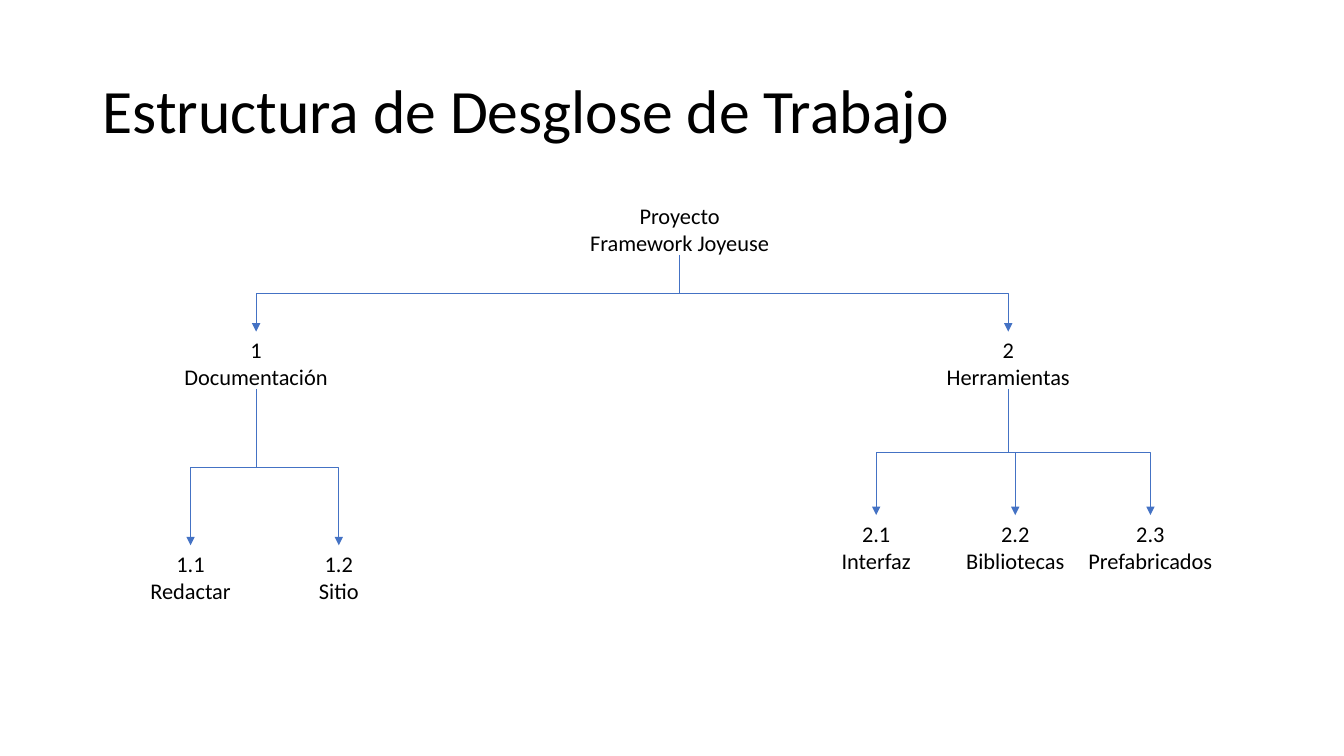
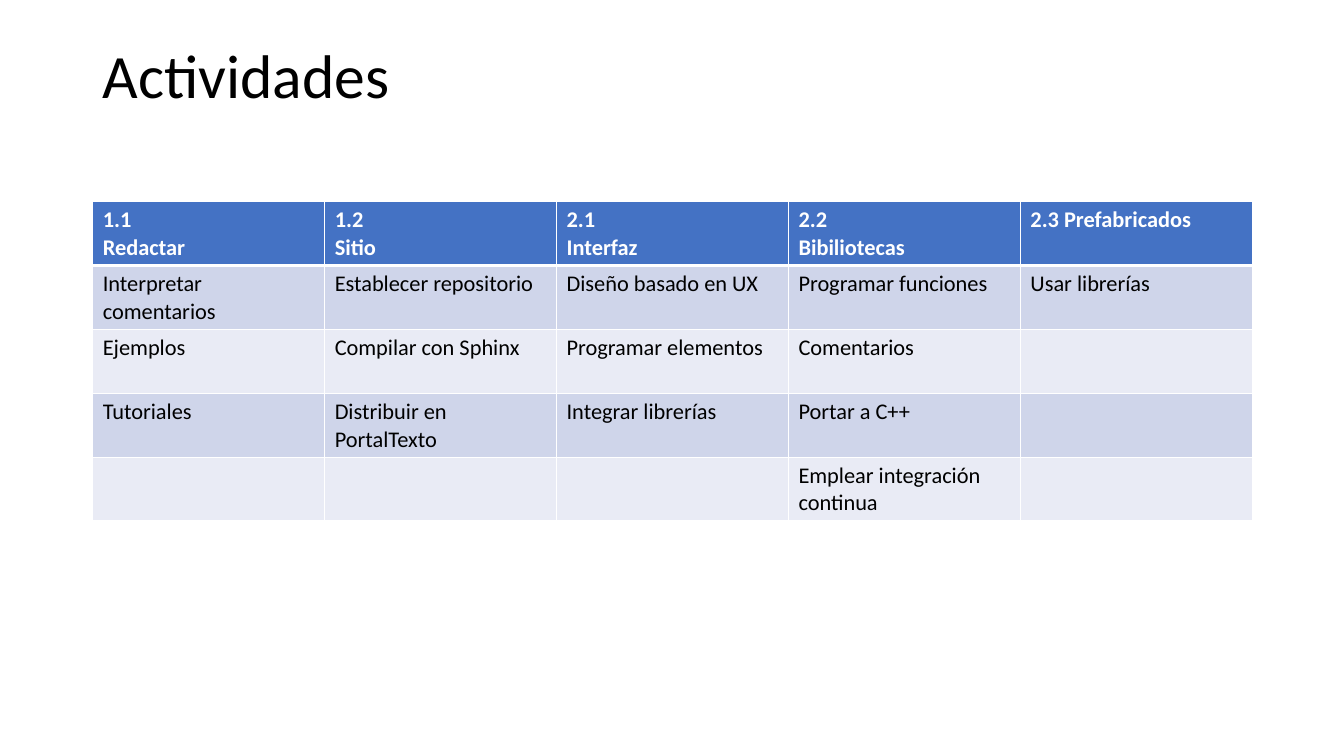
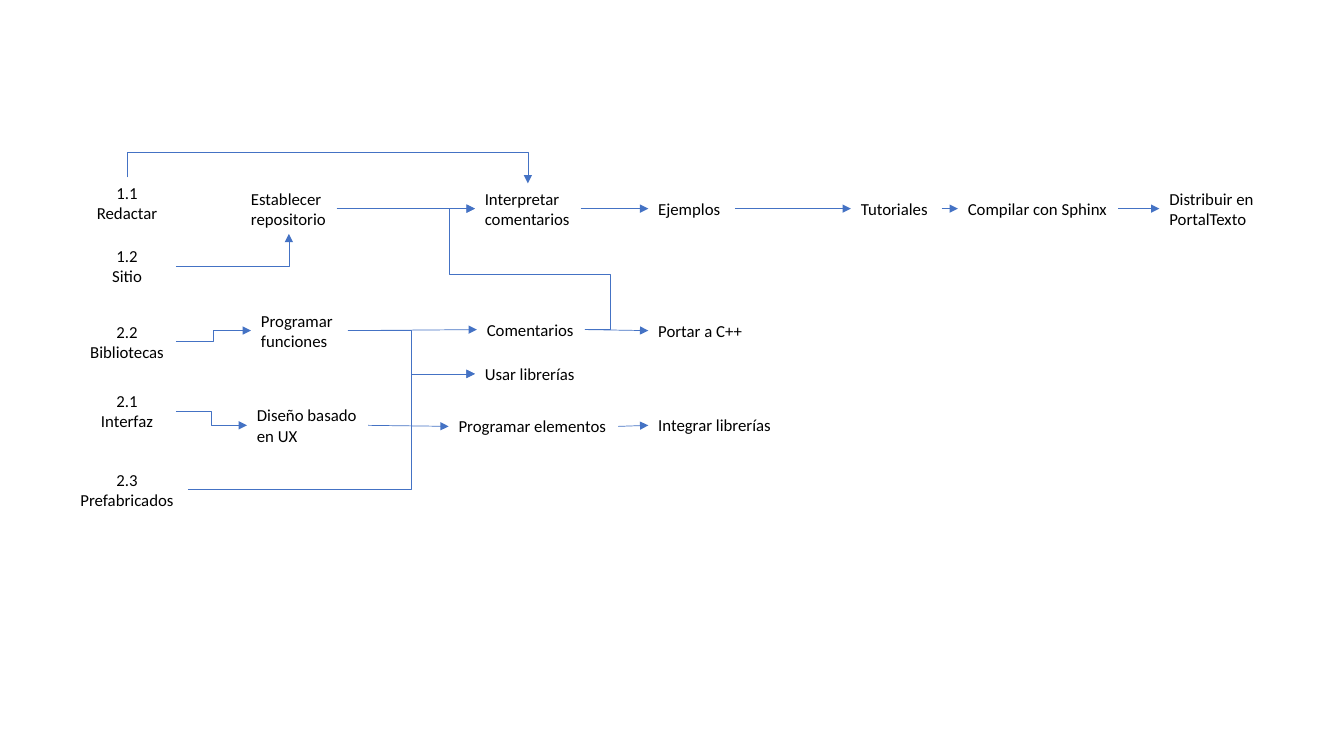
from itertools import cycle

from lxml.etree import SubElement
from pptx import Presentation
from pptx.dml.color import RGBColor
from pptx.enum.shapes import MSO_CONNECTOR as Connector
from pptx.enum.text import MSO_ANCHOR as Anchor, PP_ALIGN as Align
from pptx.oxml.ns import qn
from pptx.util import Inches, Pt

# Shared style
BLACK = RGBColor(0x00, 0x00, 0x00)
WHITE = RGBColor(0xFF, 0xFF, 0xFF)
BLUE = RGBColor(0x44, 0x72, 0xC4)
BAND_DARK = RGBColor(0xCF, 0xD5, 0xEA)
BAND_LIGHT = RGBColor(0xE9, 0xEB, 0xF5)
FONT = "Calibri"
SLIDE_WIDTH, SLIDE_HEIGHT = 13.33, 7.5
MARGIN, CONTENT_WIDTH = 0.92, 11.5

# Connection sites of a text box
TOP, LEFT, BOTTOM, RIGHT = range(4)


def style_text(text_frame, size, color=BLACK, bold=False, align=Align.LEFT):
    for paragraph in text_frame.paragraphs:
        paragraph.alignment = align
        font = paragraph.font
        font.name, font.size, font.bold = FONT, Pt(size), bold
        font.color.rgb = color


def add_text(slide, text, left, top, width, height, size,
             align=Align.LEFT, wrap=True):
    box = slide.shapes.add_textbox(
        Inches(left), Inches(top), Inches(width), Inches(height))
    box.text_frame.word_wrap = wrap
    box.text_frame.text = text
    style_text(box.text_frame, size, align=align)
    return box


def add_title(slide, text, anchor):
    title = add_text(slide, text, MARGIN, 0.4, CONTENT_WIDTH, 1.45, 44)
    title.text_frame.vertical_anchor = anchor
    title.text_frame.paragraphs[0].line_spacing = 0.9


def add_link(slide, source, target, bends=None, start=RIGHT, end=LEFT):
    """Join two boxes; bends are the positions of the inner segments."""
    kind = Connector.STRAIGHT if bends is None else Connector.ELBOW
    link = slide.shapes.add_connector(kind, 0, 0, 0, 0)
    link.begin_connect(source, start)
    link.end_connect(target, end)
    if bends is not None:
        bend_link(link, bends, vertical=start in (TOP, BOTTOM))
    # Line and arrowhead
    link.line.color.rgb = BLUE
    link.line.width = Pt(0.5)
    properties = link._element.spPr
    SubElement(properties.find(qn("a:ln")), qn("a:tailEnd"), type="triangle")
    SubElement(properties, qn("a:effectLst"))


def bend_link(link, bends, vertical):
    x, y = link.begin_x, link.begin_y
    across, down = link.end_x - x, link.end_y - y
    properties = link._element.spPr
    geometry = properties.find(qn("a:prstGeom"))
    geometry.set("prst", f"bentConnector{len(bends) + 2}")
    guides = geometry.find(qn("a:avLst"))
    axes = [(y, down), (x, across)] if vertical else [(x, across), (y, down)]
    for number, (bend, (origin, span)) in enumerate(zip(bends, cycle(axes)), 1):
        share = round((Inches(bend) - origin) / span * 100000)
        SubElement(guides, qn("a:gd"), name=f"adj{number}", fmla=f"val {share}")
    if vertical:
        # A downward elbow is a sideways one turned about its centre
        link.left = round(x + (across - down) / 2)
        link.top = round(y + (down - abs(across)) / 2)
        link.width, link.height = down, abs(across)
        frame = properties.find(qn("a:xfrm"))
        to_right = across > 0
        frame.set("rot", str((270 if to_right else 90) * 60000))
        frame.set("flipH", "1" if to_right else "0")
        frame.set("flipV", "0")


def set_borders(cell, top, bottom):
    properties = cell._tc.get_or_add_tcPr()
    for side, width in (("L", 1), ("R", 1), ("T", top), ("B", bottom)):
        line = SubElement(properties, qn(f"a:ln{side}"), w=str(Pt(width)))
        fill = SubElement(line, qn("a:solidFill"))
        SubElement(fill, qn("a:srgbClr"), val=str(WHITE))


def add_table(slide, rows, top, height):
    table = slide.shapes.add_table(
        len(rows), len(rows[0]), Inches(MARGIN), Inches(top),
        Inches(CONTENT_WIDTH), Inches(height)).table
    for row_index, row in enumerate(rows):
        header = row_index == 0
        band = BAND_DARK if row_index % 2 else BAND_LIGHT
        for column_index, text in enumerate(row):
            cell = table.cell(row_index, column_index)
            set_borders(cell, 3 if row_index == 1 else 1, 3 if header else 1)
            cell.fill.solid()
            cell.fill.fore_color.rgb = BLUE if header else band
            cell.text_frame.text = text
            style_text(cell.text_frame, 16, WHITE if header else BLACK, header)


def build_breakdown(slide):
    add_title(slide, "Estructura de Desglose de Trabajo", Anchor.MIDDLE)

    # Nodes: text, centre, top, width, height
    nodes = {
        "root": ("Proyecto\nFramework Joyeuse", 6.74, 1.96, 2.51, 0.57),
        "1": ("1\nDocumentación", 2.54, 3.29, 2.51, 0.57),
        "2": ("2\nHerramientas", 10, 3.29, 2.51, 0.57),
        "1.1": ("1.1\nRedactar", 1.89, 5.41, 1.94, 0.64),
        "1.2": ("1.2\nSitio", 3.36, 5.41, 1.64, 0.64),
        "2.1": ("2.1\nInterfaz", 8.69, 5.11, 1.38, 0.57),
        "2.2": ("2.2\nBibliotecas", 10.07, 5.11, 1.38, 0.64),
        "2.3": ("2.3\nPrefabricados", 11.41, 5.11, 1.53, 0.64),
    }
    boxes = {
        key: add_text(slide, text, centre - width / 2, top, width, height,
                      16, Align.CENTER)
        for key, (text, centre, top, width, height) in nodes.items()}

    # Branches: parent, height of the crossbar, children
    for parent, bar, children in (("root", 2.91, ("1", "2")),
                                  ("1", 4.64, ("1.1", "1.2")),
                                  ("2", 4.49, ("2.1", "2.2", "2.3"))):
        for child in children:
            add_link(slide, boxes[parent], boxes[child], [bar], BOTTOM, TOP)


def build_activities(slide):
    add_title(slide, "Actividades", Anchor.TOP)
    add_table(slide, [
        ("1.1\nRedactar", "1.2\nSitio", "2.1\nInterfaz", "2.2\nBibiliotecas",
         "2.3 Prefabricados"),
        ("Interpretar comentarios", "Establecer repositorio",
         "Diseño basado en UX", "Programar funciones", "Usar librerías"),
        ("Ejemplos", "Compilar con Sphinx", "Programar elementos",
         "Comentarios", ""),
        ("Tutoriales", "Distribuir en PortalTexto", "Integrar librerías",
         "Portar a C++", ""),
        ("", "", "", "Emplear integración continua", ""),
    ], top=2, height=3.17)


def build_network(slide):
    def place(text, left, middle, width, **options):
        height = 0.1 + 0.2 * len(text.split("\n"))
        return add_text(slide, text, left, middle - height / 2, width, height,
                        12, **options)

    # Work packages, centred in the first column: text, middle, width
    packages = {
        "redactar": ("1.1\nRedactar", 2.01, 0.99),
        "sitio": ("1.2\nSitio", 2.64, 0.97),
        "bibliotecas": ("2.2\nBibliotecas", 3.39, 0.97),
        "interfaz": ("2.1\nInterfaz", 4.08, 0.97),
        "prefabricados": ("2.3\nPrefabricados", 4.86, 1.21),
    }
    # Activities: text, left, middle, width
    activities = {
        "establecer": ("Establecer\nrepositorio", 2.39, 2.07, 0.95),
        "interpretar": ("Interpretar\ncomentarios", 4.71, 2.07, 1.05),
        "ejemplos": ("Ejemplos", 6.43, 2.07, 0.86),
        "tutoriales": ("Tutoriales", 8.44, 2.07, 0.9),
        "compilar": ("Compilar con Sphinx", 9.5, 2.07, 1.59),
        "distribuir": ("Distribuir en\nPortalTexto", 11.5, 2.07, 1.13),
        "funciones": ("Programar\nfunciones", 2.49, 3.28, 0.96),
        "comentarios": ("Comentarios", 4.73, 3.27, 1.07),
        "portar": ("Portar a C++", 6.43, 3.28, 1.04),
        "usar": ("Usar librerías", 4.71, 3.71, 1.1),
        "diseño": ("Diseño basado\nen UX", 2.45, 4.22, 1.2),
        "elementos": ("Programar elementos", 4.45, 4.23, 1.68),
        "integrar": ("Integrar librerías", 6.43, 4.22, 1.33),
    }
    boxes = {key: place(text, 1.26 - width / 2, middle, width,
                        align=Align.CENTER)
             for key, (text, middle, width) in packages.items()}
    boxes.update({key: place(*values, wrap=False)
                  for key, values in activities.items()})

    # Straight sequences
    for chain in (("establecer", "interpretar", "ejemplos", "tutoriales",
                   "compilar", "distribuir"),
                  ("funciones", "comentarios", "portar"),
                  ("diseño", "elementos", "integrar")):
        for source, target in zip(chain, chain[1:]):
            add_link(slide, boxes[source], boxes[target])

    # Bent dependencies
    for source, target, bends, *sites in (
            ("redactar", "interpretar", [1.51], TOP, TOP),
            ("sitio", "establecer", [], RIGHT, BOTTOM),
            ("bibliotecas", "funciones", [2.12]),
            ("interfaz", "diseño", [2.1]),
            ("funciones", "usar", [4.08]),
            ("prefabricados", "usar", [4.08]),
            ("comentarios", "interpretar", [6.05, 2.72, 4.46])):
        add_link(slide, boxes[source], boxes[target], bends, *sites)


def main():
    presentation = Presentation()
    presentation.slide_width = Inches(SLIDE_WIDTH)
    presentation.slide_height = Inches(SLIDE_HEIGHT)
    blank = presentation.slide_layouts[6]
    for build in (build_breakdown, build_activities, build_network):
        build(presentation.slides.add_slide(blank))
    presentation.save("out.pptx")


if __name__ == "__main__":
    main()
